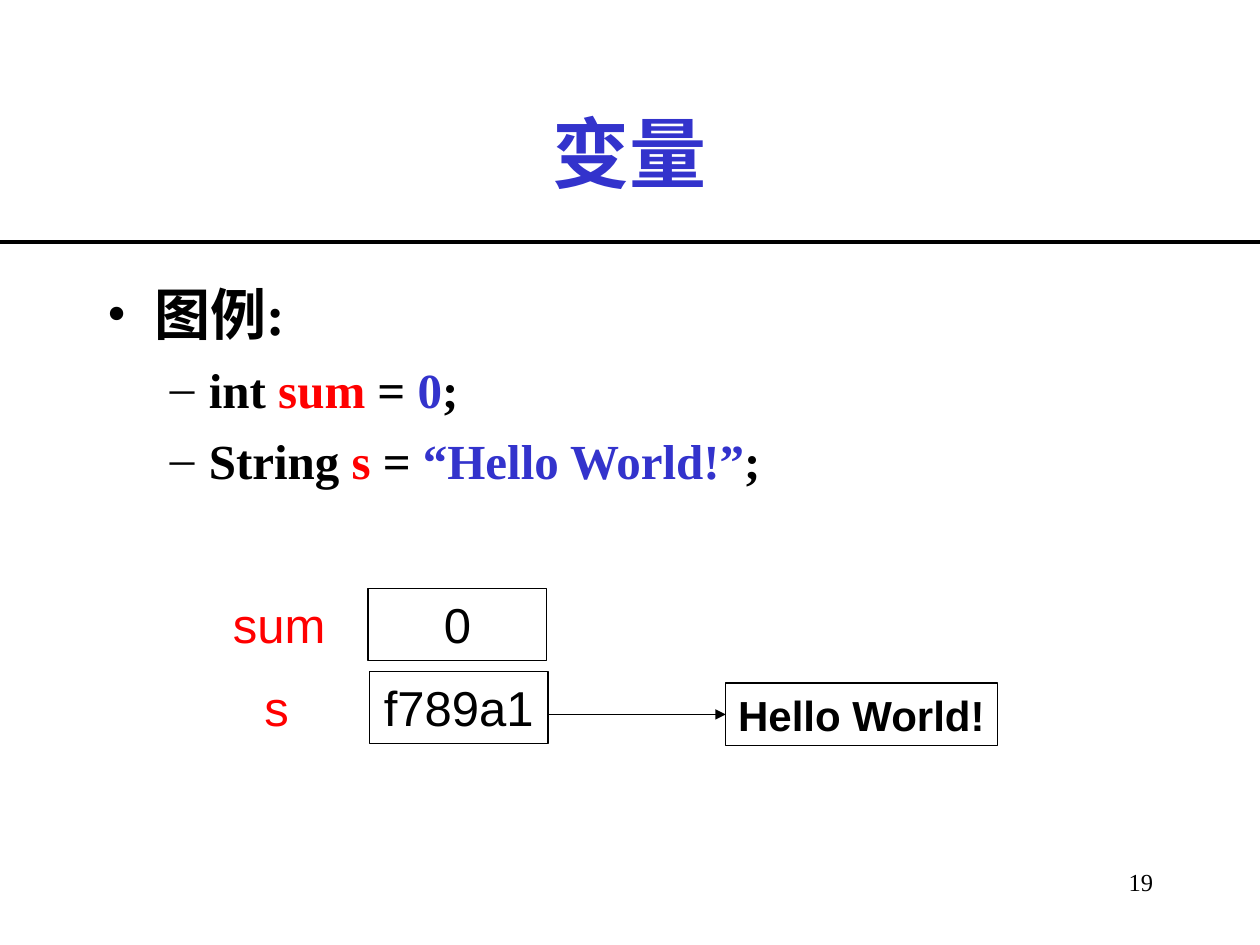
from lxml import etree
from pptx import Presentation
from pptx.dml.color import RGBColor
from pptx.enum.shapes import MSO_CONNECTOR, MSO_SHAPE
from pptx.enum.text import MSO_ANCHOR, MSO_AUTO_SIZE, PP_ALIGN
from pptx.oxml.ns import qn
from pptx.util import Inches, Pt

LEFT, CENTER, RIGHT = PP_ALIGN.LEFT, PP_ALIGN.CENTER, PP_ALIGN.RIGHT
TOP, MIDDLE = MSO_ANCHOR.TOP, MSO_ANCHOR.MIDDLE
FIXED, GROW = MSO_AUTO_SIZE.NONE, MSO_AUTO_SIZE.SHAPE_TO_FIT_TEXT
RECTANGLE, STRAIGHT = MSO_SHAPE.RECTANGLE, MSO_CONNECTOR.STRAIGHT

COLORS = {"text": "000000", "name": "FF0000", "value": "3333CC"}
SERIF, SANS = "Times New Roman", "Arial"
WIDTH, HEIGHT = 10, 7.5

# Content: paragraphs are lists of (text, color) runs
TITLE = [("变量", "value")]
PAGE_NUMBER = [("19", "text")]
BULLETS = [
    (0, [("图例:", "text")]),
    (1, [("int ", "text"), ("sum", "name"), (" = ", "text"),
         ("0", "value"), (";", "text")]),
    (1, [("String ", "text"), ("s", "name"), (" = ", "text"),
         ("“Hello World!”", "value"), (";", "text")]),
]
LEVELS = [
    {"mark": "•", "margin": 0.38, "hang": 0.38, "size": 32, "before": 0},
    {"mark": "–", "margin": 0.81, "hang": 0.31, "size": 28, "before": 7},
]
# Memory diagram: name, name left, name width, value, cell left, top
VARIABLES = [
    ("sum", 1.75, 0.95, "0", 2.92, 4.67),
    ("s", 2.0, 0.4, "f789a1", 2.93, 5.33),
]
CELL_WIDTH, CELL_HEIGHT = 1.42, 0.57
OBJECT_TEXT, OBJECT_BOX = "Hello World!", (5.76, 5.42, 2.16, 0.5)
ARROW_Y = 5.67

presentation = Presentation()
presentation.slide_width, presentation.slide_height = Inches(WIDTH), Inches(HEIGHT)
slide = presentation.slides.add_slide(presentation.slide_layouts[6])


def add_runs(paragraph, runs, size, font, bold):
    for text, color in runs:
        run = paragraph.add_run()
        run.text = text
        values = {"size": Pt(size), "name": font, "bold": bold}
        for key, value in values.items():
            setattr(run.font, key, value)
        run.font.color.rgb = RGBColor.from_string(COLORS[color])


def add_text(box, runs=(), size=28, font=SANS, bold=False, align=LEFT,
             anchor=TOP, wrap=True, outlined=False):
    area = [Inches(length) for length in box]
    if outlined:
        shape = slide.shapes.add_shape(RECTANGLE, *area)
        shape.shadow.inherit = False
        shape.fill.background()
        shape.line.color.rgb = RGBColor.from_string(COLORS["text"])
        shape.line.width = Pt(0.75)
    else:
        shape = slide.shapes.add_textbox(*area)
    frame = shape.text_frame
    values = {"word_wrap": wrap, "vertical_anchor": anchor,
              "auto_size": FIXED if wrap else GROW}
    for key, value in values.items():
        setattr(frame, key, value)
    paragraph = frame.paragraphs[0]
    paragraph.alignment = align
    add_runs(paragraph, runs, size, font, bold)
    return frame


def add_line(start_x, end_x, y, width, arrow=False):
    line = slide.shapes.add_connector(
        STRAIGHT, Inches(start_x), Inches(y), Inches(end_x), Inches(y))
    line.line.color.rgb = RGBColor.from_string(COLORS["text"])
    line.line.width = Pt(width)
    properties = line._element.spPr
    if arrow:
        etree.SubElement(properties.find(qn("a:ln")), qn("a:tailEnd"), type="triangle")
    etree.SubElement(properties, qn("a:effectLst"))


def add_bullet(paragraph, level):
    style = LEVELS[level]
    paragraph.level = level
    paragraph.space_before = Pt(style["before"])
    properties = paragraph._p.get_or_add_pPr()
    properties.set("marL", str(Inches(style["margin"])))
    properties.set("indent", str(-Inches(style["hang"])))
    color = etree.SubElement(properties, qn("a:buClr"))
    etree.SubElement(color, qn("a:srgbClr"), val=COLORS["text"])
    etree.SubElement(properties, qn("a:buFont"), typeface=SERIF)
    etree.SubElement(properties, qn("a:buChar"), char=style["mark"])


# Title, rule and page number
add_text((0.75, 0.58, 8.5, 1.25), TITLE, 44, SERIF, True, CENTER, MIDDLE)
add_line(0, WIDTH, 1.92, 2.25)
add_text((8.17, 6.83, 1.08, 0.5), PAGE_NUMBER, 14, SERIF, align=RIGHT)

# Bulleted examples
body = add_text((0.75, 2.17, 8.5, 2))
for index, (level, runs) in enumerate(BULLETS):
    paragraph = body.add_paragraph() if index else body.paragraphs[0]
    add_bullet(paragraph, level)
    add_runs(paragraph, runs, LEVELS[level]["size"], SERIF, True)

# Variables, their cells and the referenced object
for name, name_left, name_width, value, cell_left, top in VARIABLES:
    add_text((name_left, top, name_width, CELL_HEIGHT), [(name, "name")], wrap=False)
    add_text((cell_left, top, CELL_WIDTH, CELL_HEIGHT), [(value, "text")],
             align=CENTER, outlined=True)
add_text(OBJECT_BOX, [(OBJECT_TEXT, "text")], 24, bold=True, wrap=False, outlined=True)
add_line(VARIABLES[-1][4] + CELL_WIDTH, OBJECT_BOX[0], ARROW_Y, 0.75, arrow=True)

presentation.save("out.pptx")
